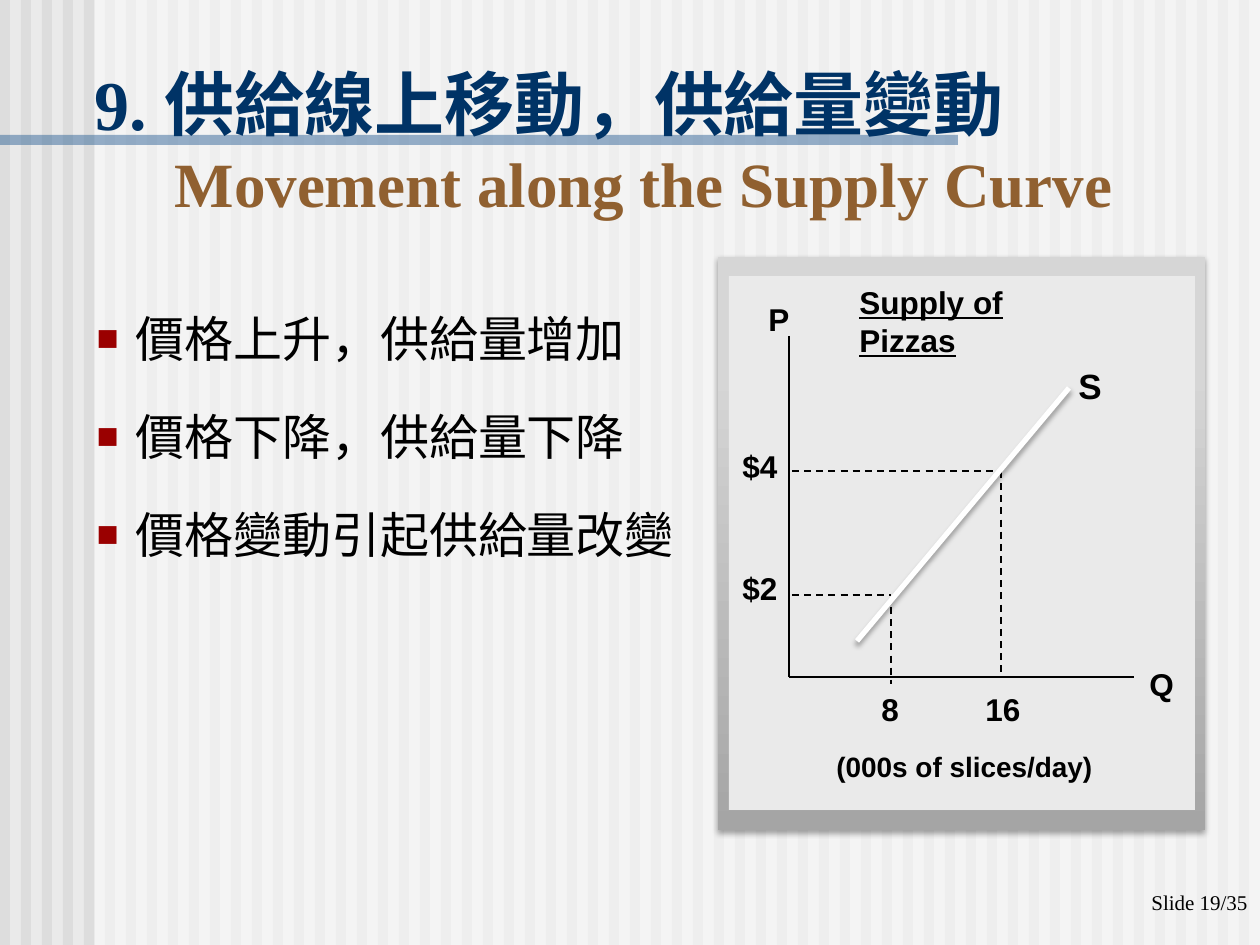
from dataclasses import dataclass

from pptx import Presentation
from pptx.dml.color import RGBColor
from pptx.enum.dml import MSO_LINE
from pptx.enum.shapes import MSO_CONNECTOR as CONN, MSO_SHAPE as SHAPE
from pptx.enum.text import MSO_ANCHOR as ANCHOR, MSO_AUTO_SIZE as AUTO, PP_ALIGN as ALIGN
from pptx.oxml.ns import qn
from pptx.util import Emu, Pt
from lxml.etree import SubElement as Sub


@dataclass(frozen=True)
class Theme:
    serif: str = "Times New Roman"
    sans: str = "Arial"
    ground: str = "EAEAEA"
    stripe: str = "DDDDDD"
    white: str = "FFFFFF"
    black: str = "000000"
    rule: str = "336699"
    title: str = "003366"
    subtitle: str = "906030"
    bullet: str = "9A0000"
    frame_dark: str = "A5A5A5"
    frame_light: str = "D6D6D6"
    title_size: int = 40
    subtitle_size: int = 36
    body_size: int = 28
    curve_size: int = 20
    label_size: int = 18
    unit_size: int = 16
    footer_size: int = 12


T = Theme()
WIDTH, HEIGHT = 1260, 945
STRIPE_PITCH, STRIPE_WIDTH = 21, 10
AXIS_X, AXIS_Y = 789, 677
POINTS = ["價格上升，供給量增加", "價格下降，供給量下降", "價格變動引起供給量改變"]
LABELS = [
    ("$4", 730, 441, 63, T.label_size),
    ("$2", 730, 563, 63, T.label_size),
    ("8", 869, 684, 45, T.label_size),
    ("16", 973, 684, 63, T.label_size),
    ("Q", 1137, 659, 53, T.label_size),
    ("P", 756, 294, 49, T.label_size),
    ("S", 1066, 358, 52, T.curve_size),
    ("(000s of slices/day)", 824, 743, 289, T.unit_size),
]
GUIDES = [
    (AXIS_X + 3, 595, 891, 595),
    (AXIS_X + 3, 471, 996, 471),
    (1001, 471, 1001, AXIS_Y),
    (891, 607, 891, 684),
]
AXES = [(AXIS_X, 336, AXIS_X, AXIS_Y), (AXIS_X, AXIS_Y, 1134, AXIS_Y)]
SUPPLY = (857, 641, 1069, 388)


def px(*values):
    return [Emu(round(v * 914400 / 126)) for v in values]


def rgb(color):
    return RGBColor.from_string(color)


def apply(obj, formats):
    for name, value in formats.items():
        setattr(obj, name, value)


def set_effect(sp, shadow=False):
    effects = Sub(sp._element.spPr, qn("a:effectLst"))
    if shadow:
        outer = Sub(effects, qn("a:outerShdw"), blurRad=str(Pt(3.1)),
                    dist=str(Pt(1.8)), dir="5400000", rotWithShape="0")
        color = Sub(outer, qn("a:srgbClr"), val=T.black)
        Sub(color, qn("a:alpha"), val="35000")


def add_rect(slide, box, color, alpha=None):
    sp = slide.shapes.add_shape(SHAPE.RECTANGLE, *px(*box))
    sp.fill.solid()
    sp.fill.fore_color.rgb = rgb(color)
    sp.line.fill.background()
    sp.shadow.inherit = False
    if alpha:
        fill = sp._element.spPr.find(qn("a:solidFill"))
        Sub(fill[0], qn("a:alpha"), val=str(alpha * 1000))
    return sp


def add_frame(slide, box):
    sp = slide.shapes.add_shape(SHAPE.RECTANGLE, *px(*box))
    sp.fill.gradient()
    sp.fill.gradient_angle = 90
    stops = [(0, T.frame_dark), (0.8, T.frame_light)]
    for stop, (position, color) in zip(sp.fill.gradient_stops, stops):
        stop.position = position
        stop.color.rgb = rgb(color)
    sp.line.fill.background()
    set_effect(sp, shadow=True)


def add_line(slide, ends, color=T.black, width=1, dash=None, shadow=False):
    line = slide.shapes.add_connector(CONN.STRAIGHT, *px(*ends))
    line.line.color.rgb = rgb(color)
    apply(line.line, {"width": Pt(width), "dash_style": dash})
    set_effect(line, shadow)


def add_run(p, text, size, color=T.black, font=T.serif, **formats):
    r = p.add_run()
    r.text = text
    apply(r.font, {"name": font, "size": Pt(size), **formats})
    r.font.color.rgb = rgb(color)


def add_label(slide, text, box, size, wrap=False, align=ALIGN.LEFT, **formats):
    tf = slide.shapes.add_textbox(*px(*box)).text_frame
    tf.word_wrap = wrap
    tf.paragraphs[0].alignment = align
    add_run(tf.paragraphs[0], text, size, **formats)


def place(slide, sp, box, anchor):
    slide.shapes._spTree.append(sp._element)
    apply(sp, dict(zip(("left", "top", "width", "height"), px(*box))))
    tf = sp.text_frame
    apply(tf, {"word_wrap": True, "auto_size": AUTO.NONE, "vertical_anchor": anchor})
    return tf


def set_indent(p, left, first):
    pPr = p._p.get_or_add_pPr()
    pPr.set("marL", str(px(left)[0]))
    pPr.set("indent", str(px(first)[0]))
    return pPr


def add_background(slide):
    fill = slide.background.fill
    fill.solid()
    fill.fore_color.rgb = rgb(T.ground)
    for x in range(0, WIDTH, STRIPE_PITCH):
        add_rect(slide, (x, 0, STRIPE_WIDTH, HEIGHT), T.stripe)
    add_rect(slide, (95, 0, WIDTH - 95, HEIGHT), T.white, alpha=50)
    add_rect(slide, (0, 135, 958, 10), T.rule, alpha=50)


def fill_title(slide):
    tf = place(slide, slide.shapes.title, (82, 43, 1071, 183), ANCHOR.BOTTOM)
    p, sub = tf.paragraphs[0], tf.add_paragraph()
    p.alignment = sub.alignment = ALIGN.LEFT
    set_indent(sub, 80, 0)
    add_run(p, "9. 供給線上移動，供給量變動", T.title_size, T.title, bold=True)
    add_run(sub, "Movement along the Supply Curve", T.subtitle_size, T.subtitle, bold=True)


def fill_body(slide):
    tf = place(slide, slide.placeholders[1], (84, 273, 614, 596), ANCHOR.TOP)
    for i, text in enumerate(POINTS):
        p = tf.add_paragraph() if i else tf.paragraphs[0]
        apply(p, {"line_spacing": 1.5, "space_before": Pt(5.6)})
        pPr = set_indent(p, 39, -39)
        Sub(Sub(pPr, qn("a:buClr")), qn("a:srgbClr"), val=T.bullet)
        Sub(pPr, qn("a:buSzPct"), val="75000")
        Sub(pPr, qn("a:buFont"), typeface=T.sans)
        Sub(pPr, qn("a:buChar"), char="■")
        add_run(p, text, T.body_size)


def add_supply_graph(slide):
    add_frame(slide, (718, 257, 487, 573))
    add_rect(slide, (729, 276, 466, 534), T.ground)
    for ends in GUIDES:
        add_line(slide, ends, dash=MSO_LINE.DASH)
    for ends in AXES:
        add_line(slide, ends)
    for text, x, y, width, size in LABELS:
        add_label(slide, text, (x, y, width, 59), size, font=T.sans, bold=True)
    add_label(slide, "Supply of Pizzas", (847, 277, 260, 59), T.label_size,
              wrap=True, font=T.sans, bold=True, underline=True)
    add_line(slide, SUPPLY, T.white, width=3, shadow=True)


def main():
    prs = Presentation()
    prs.slide_width, prs.slide_height = px(WIDTH, HEIGHT)
    slide = prs.slides.add_slide(prs.slide_layouts[1])
    add_background(slide)
    add_label(slide, "Slide 19/35", (998, 883, 262, 63), T.footer_size,
              wrap=True, align=ALIGN.RIGHT)
    fill_title(slide)
    fill_body(slide)
    add_supply_graph(slide)
    prs.save("out.pptx")


if __name__ == "__main__":
    main()
